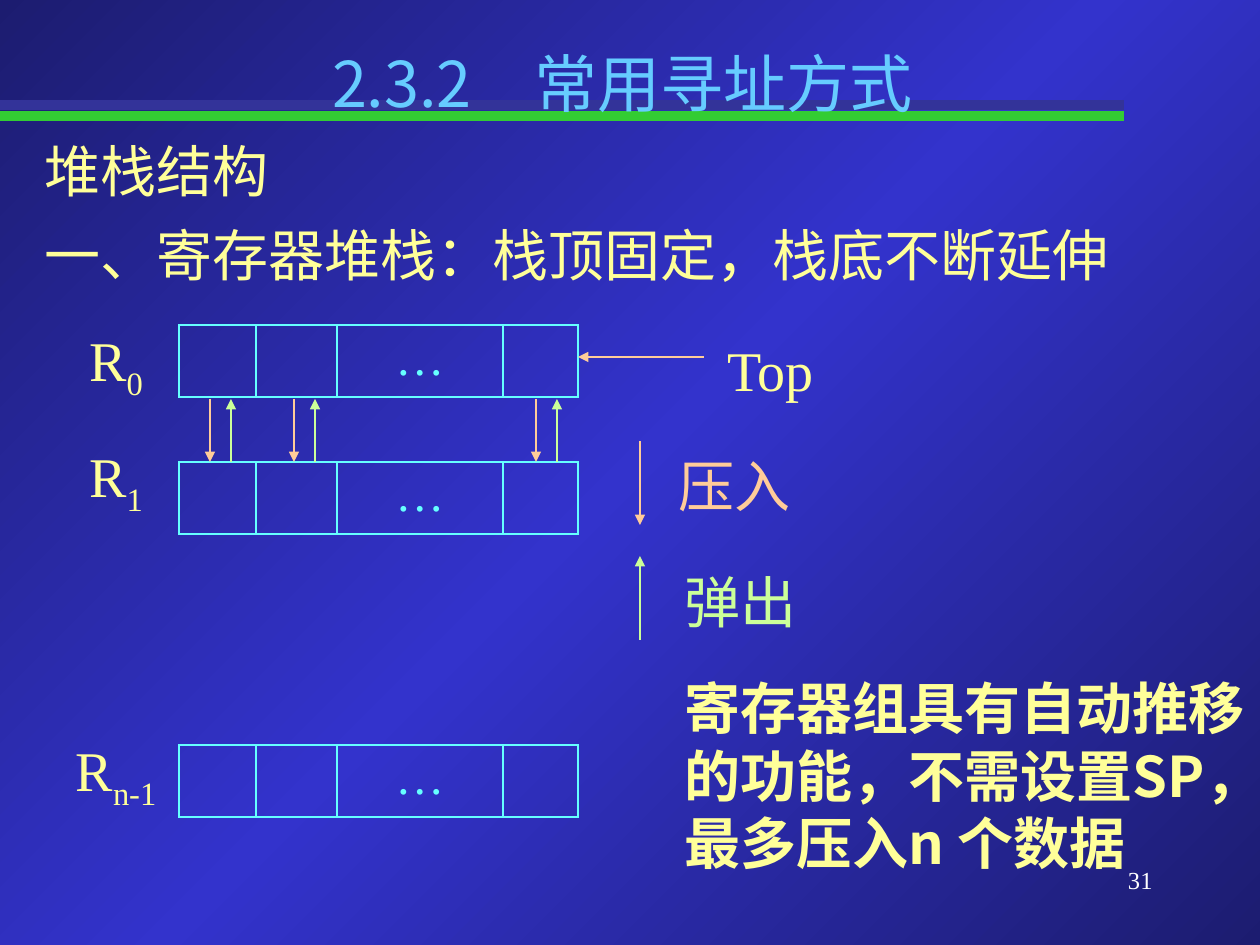
from dataclasses import dataclass
from lxml.etree import SubElement
from pptx import Presentation
from pptx.dml.color import RGBColor
from pptx.enum.shapes import MSO_CONNECTOR as CONN
from pptx.enum.text import MSO_ANCHOR, MSO_AUTO_SIZE, PP_ALIGN
from pptx.oxml import parse_xml
from pptx.oxml.ns import nsdecls, qn
from pptx.util import Pt

PX = 914400 / 126


@dataclass(frozen=True)
class Theme:
    """Colours, fonts and type sizes of the slide."""
    edge: str = "1C1C70"
    middle: str = "3333CC"
    green: str = "33CC33"
    navy: str = "333399"
    title: str = "66CCFF"
    body: str = "FFFF99"
    cell: str = "66FFFF"
    push: str = "FFCC99"
    pop: str = "CCFF99"
    white: str = "FFFFFF"
    serif: str = "Times New Roman"
    sans: str = "Noto Sans CJK SC"
    title_size: int = 36
    body_size: int = 32
    cell_size: int = 28
    number_size: int = 14


T = Theme()
LEFT, CENTER, RIGHT = PP_ALIGN.LEFT, PP_ALIGN.CENTER, PP_ALIGN.RIGHT


def emu(*values):
    """Turn px lengths into EMU."""
    return [round(v * PX) for v in values]


def apply(obj, values):
    """Set each attribute named in a dict of format values."""
    for name, value in values.items():
        setattr(obj, name, value)


def add_run(p, text, color, size, font=T.serif, bold=False, sub=False):
    """Add one formatted run to a paragraph."""
    r = p.add_run()
    r.text = text
    apply(r.font, {"size": Pt(size), "name": font, "bold": bold})
    r.font.color.rgb = RGBColor.from_string(color)
    rpr = r.font._element
    SubElement(rpr, qn("a:ea")).set("typeface", T.sans)
    if sub:
        rpr.set("baseline", "-25000")


def fill_text(sp, text, color=T.body, size=T.body_size, align=LEFT, sub="",
              **style):
    """Write one paragraph, with an optional subscript, into a shape."""
    tf = sp.text_frame
    side, top = emu(12.6, round(size * 0.32))
    apply(tf, {"word_wrap": True, "auto_size": MSO_AUTO_SIZE.NONE,
               "vertical_anchor": MSO_ANCHOR.TOP, "margin_left": side,
               "margin_right": side, "margin_top": top, "margin_bottom": 0})
    p = tf.paragraphs[0]
    apply(p, {"alignment": align, "line_spacing": Pt(size * 1.2)})
    add_run(p, text, color, size, **style)
    if sub:
        add_run(p, sub, color, size, sub=True, **style)


def add_text(s, box, text, **style):
    """Add a text box at a px box."""
    fill_text(s.shapes.add_textbox(*emu(*box)), text, **style)


def add_line(s, start, end, color, width=0.75, arrow=True):
    """Add a straight line between two px points."""
    c = s.shapes.add_connector(CONN.STRAIGHT, *emu(*start, *end))
    c.line.width = Pt(width)
    c.line.color.rgb = RGBColor.from_string(color)
    if arrow:
        SubElement(c.line._get_or_add_ln(), qn("a:tailEnd")).set("type", "triangle")
    SubElement(c._element.spPr, qn("a:effectLst"))


def set_background(s):
    """Fill the slide with a diagonal gradient."""
    fill = s.background.fill
    fill.gradient()
    fill.gradient_angle = 315
    stops = fill._fill._gradFill.find(qn("a:gsLst"))
    for old in list(stops):
        stops.remove(old)
    for pos, color in ((0, T.edge), (50, T.middle), (100, T.edge)):
        stops.append(parse_xml(
            f'<a:gs {nsdecls("a")} pos="{pos * 1000}">'
            f'<a:srgbClr val="{color}"/></a:gs>'))


def add_header(s, box):
    """Draw the two rules and the title above them."""
    x, y, w, h = box
    for dy, color in ((84, T.green), (73, T.navy)):
        add_line(s, (0, y + dy), (1124, y + dy), color, 5.5, False)
    sp = s.shapes.title
    apply(sp, dict(zip(("left", "top", "width", "height"), emu(*box))))
    fill_text(sp, "2.3.2　常用寻址方式", color=T.title, size=T.title_size,
              align=CENTER, font=T.sans)
    s.shapes._spTree.append(sp._element)


def add_register(s, box, index):
    """Draw one register as a row of cells with its label."""
    x, y, w, h = box
    frame = s.shapes.add_table(1, 4, *emu(x, y, w, h))
    tbl = frame.table
    apply(tbl, {"first_row": False, "horz_banding": False})
    tbl.rows[0].height = emu(h)[0]
    for col, width in zip(tbl.columns, (77, 81, 166, 75)):
        col.width = emu(width)[0]
    for cell in tbl.rows[0].cells:
        tcpr = cell._tc.get_or_add_tcPr()
        for side in ("lnL", "lnR", "lnT", "lnB"):
            tcpr.append(parse_xml(
                f'<a:{side} {nsdecls("a")} w="12700"><a:solidFill>'
                f'<a:srgbClr val="{T.cell}"/></a:solidFill></a:{side}>'))
        cell.fill.background()
    p = tbl.cell(0, 2).text_frame.paragraphs[0]
    p.alignment = CENTER
    add_run(p, "…", T.cell, T.cell_size)
    return frame


def add_stack(s, box):
    """Draw the registers, their labels and the shift arrows."""
    x, y, w, h = box
    for dy, label_dy, index in ((0, 0, "0"), (137, 116, "1"), (420, 410, "n-1")):
        add_register(s, (x, y + dy, w, h), index)
        add_text(s, (x - 126, y + label_dy, 126, 79), "R", sub=index, align=CENTER)
    top, bottom = y + 74, y + 137
    for dx in (31, 115, 357):
        add_line(s, (x + dx, top), (x + dx, bottom), T.push)
        add_line(s, (x + dx + 21, bottom), (x + dx + 21, top), T.pop)
    add_line(s, (x + w + 126, y + 32), (x + w, y + 32), T.push)
    add_text(s, (x + w + 137, y, 116, 79), "Top")


def add_legend(s, box):
    """Draw the push and pop arrows with their labels."""
    x, y, w, h = box
    add_line(s, (x, y), (x, y + 84), T.push)
    add_text(s, (x + 21, y, w, 79), "压入", color=T.push, align=CENTER)
    add_line(s, (x, y + h), (x, y + h - 84), T.pop)
    add_text(s, (x + 32, y + 116, w, 79), "弹出", color=T.pop)


def main():
    """Build and save the slide."""
    prs = Presentation()
    prs.slide_width, prs.slide_height = emu(1260, 945)
    s = prs.slides.add_slide(prs.slide_layouts[5])
    set_background(s)
    add_header(s, (199, 32, 847, 88))
    add_text(s, (32, 126, 1144, 79), "堆栈结构")
    add_text(s, (32, 210, 1228, 79), "一、寄存器堆栈：栈顶固定，栈底不断延伸")
    add_stack(s, (179, 325, 399, 72))
    add_legend(s, (640, 441, 147, 199))
    add_text(s, (672, 664, 620, 214),
             "寄存器组具有自动推移的功能，不需设置SP，最多压入n 个数据",
             font=T.sans, bold=True)
    add_text(s, (903, 861, 262, 63), "31", color=T.white,
             size=T.number_size, align=RIGHT)
    prs.save("out.pptx")


if __name__ == "__main__":
    main()
